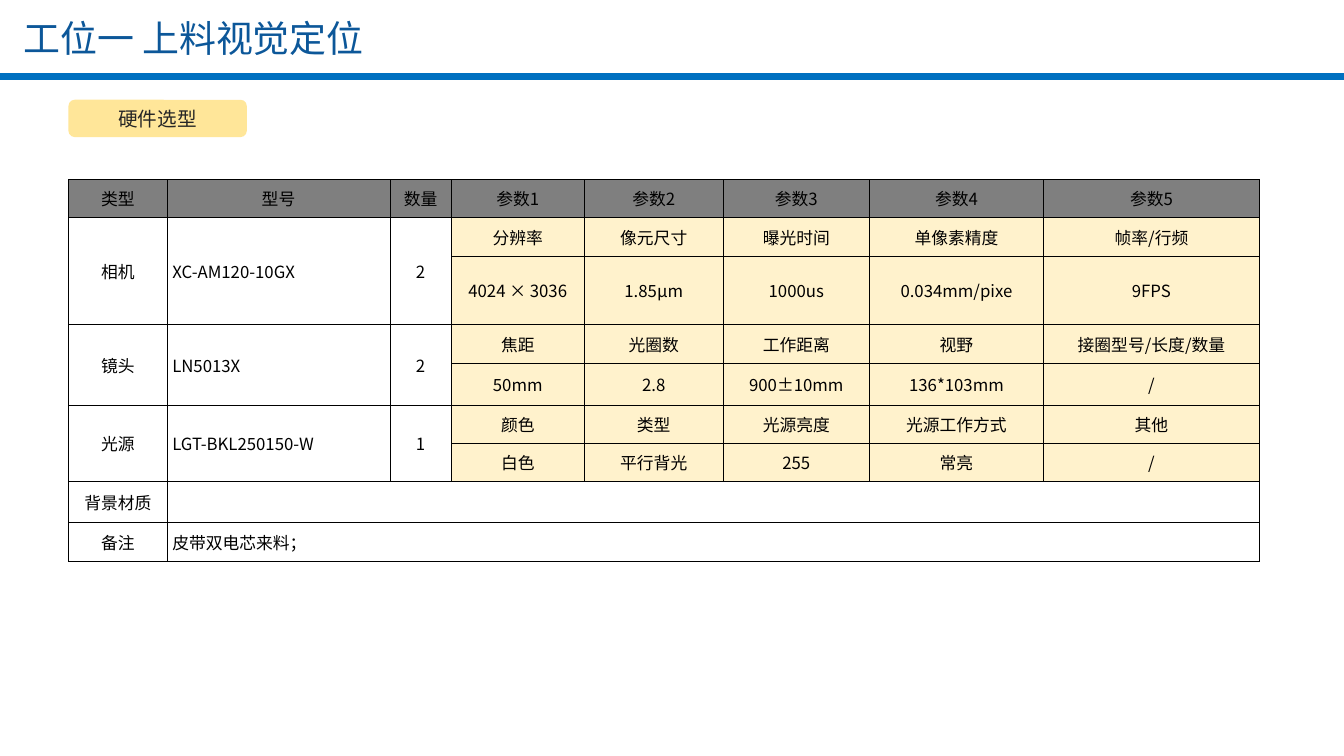
import pptx
import pptx.dml.color
import pptx.enum.shapes
import pptx.enum.text
import pptx.oxml
import pptx.oxml.ns
import pptx.util
from lxml import etree

Inches = pptx.util.Inches
CENTER = pptx.enum.text.PP_ALIGN.CENTER
LEFT = pptx.enum.text.PP_ALIGN.LEFT
MIDDLE = pptx.enum.text.MSO_ANCHOR.MIDDLE

COLORS = {
    "title": "0C5799", "rule": "0070C0", "badge": "FFE699", "badge_text": "262626",
    "header": "7F7F7F", "parameter": "FFF2CC", "plain": "FFFFFF", "ink": "000000",
}
COLUMN_WIDTHS = [0.98, 2.21, 0.61, 1.32, 1.38, 1.45, 1.73, 2.14]
ROW_HEIGHTS = [0.38, 0.38, 0.68, 0.38, 0.42, 0.38, 0.38, 0.4, 0.38]
HARDWARE = [
    ["类型", "型号", "数量", "参数1", "参数2", "参数3", "参数4", "参数5"],
    ["相机", "XC-AM120-10GX", "2", "分辨率", "像元尺寸", "曝光时间", "单像素精度", "帧率/行频"],
    ["", "", "", "4024 × 3036", "1.85μm", "1000us", "0.034mm/pixe", "9FPS"],
    ["镜头", "LN5013X", "2", "焦距", "光圈数", "工作距离", "视野", "接圈型号/长度/数量"],
    ["", "", "", "50mm", "2.8", "900±10mm", "136*103mm", "/"],
    ["光源", "LGT-BKL250150-W", "1", "颜色", "类型", "光源亮度", "光源工作方式", "其他"],
    ["", "", "", "白色", "平行背光", "255", "常亮", "/"],
    ["背景材质", "", "", "", "", "", "", ""],
    ["备注", "皮带双电芯来料；", "", "", "", "", "", ""],
]
DEVICE_ROWS = (1, 3, 5)
NOTE_ROWS = (7, 8)


class SlideBuilder:
    font_name = "Noto Sans CJK SC"

    def __init__(self, page):
        self.page = page

    def color(self, name):
        return pptx.dml.color.RGBColor.from_string(COLORS[name])

    def paint(self, target, name):
        target.fill.solid()
        target.fill.fore_color.rgb = self.color(name)

    def set_text(self, frame, text, size, color, align=CENTER):
        frame.text = text
        para = frame.paragraphs[0]
        para.alignment = align
        font = para.font
        font.size = pptx.util.Pt(size)
        font.bold = False
        font.name = self.font_name
        font.color.rgb = self.color(color)
        east_asian = etree.SubElement(font._element, pptx.oxml.ns.qn("a:ea"))
        east_asian.set("typeface", self.font_name)
        return para

    def title(self, text, left, top, width, height):
        box = self.page.shapes.title
        box.left, box.top, box.width, box.height = map(Inches, (left, top, width, height))
        frame = box.text_frame
        frame.auto_size = pptx.enum.text.MSO_AUTO_SIZE.NONE
        frame.vertical_anchor = MIDDLE
        self.set_text(frame, text, 26.4, "title", LEFT).line_spacing = 0.8

    def rule(self, left, right, top):
        line = self.page.shapes.add_connector(
            pptx.enum.shapes.MSO_CONNECTOR.STRAIGHT,
            Inches(left), Inches(top), Inches(right), Inches(top))
        line.line.color.rgb = self.color("rule")
        line.line.width = pptx.util.Pt(4.75)
        etree.SubElement(line._element.spPr, pptx.oxml.ns.qn("a:effectLst"))

    def badge(self, text, left, top, width, height):
        box = self.page.shapes.add_shape(
            pptx.enum.shapes.MSO_SHAPE.ROUNDED_RECTANGLE,
            *map(Inches, (left, top, width, height)))
        box.shadow.inherit = False
        self.paint(box, "badge")
        box.line.fill.background()
        box.text_frame.vertical_anchor = MIDDLE
        self.set_text(box.text_frame, text, 14, "badge_text")

    def border(self, cell):
        properties = cell._tc.get_or_add_tcPr()
        for side in ("lnL", "lnR", "lnT", "lnB"):
            properties.append(pptx.oxml.parse_xml(
                f'<a:{side} {pptx.oxml.ns.nsdecls("a")} w="{pptx.util.Pt(0.45)}">'
                f'<a:solidFill><a:srgbClr val="{COLORS["ink"]}"/></a:solidFill></a:{side}>'))

    def cell_color(self, row, column):
        if row == 0:
            return "header"
        return "parameter" if column > 2 and row not in NOTE_ROWS else "plain"

    def hardware_table(self, left, top):
        table = self.page.shapes.add_table(
            len(ROW_HEIGHTS), len(COLUMN_WIDTHS), Inches(left), Inches(top),
            Inches(sum(COLUMN_WIDTHS)), Inches(sum(ROW_HEIGHTS))).table
        table.first_row = table.horz_banding = False
        for column, width in zip(table.columns, COLUMN_WIDTHS):
            column.width = Inches(width)
        for row, height in zip(table.rows, ROW_HEIGHTS):
            row.height = Inches(height)
        for row, texts in enumerate(HARDWARE):
            for column, text in enumerate(texts):
                cell = table.cell(row, column)
                self.border(cell)
                self.paint(cell, self.cell_color(row, column))
                cell.vertical_anchor = MIDDLE
                cell.margin_left = cell.margin_right = Inches(0.05)
                if text:
                    align = LEFT if column == 1 and row > 0 else CENTER
                    self.set_text(cell.text_frame, text, 12, "ink", align)
        for row in DEVICE_ROWS:
            for column in range(3):
                table.cell(row, column).merge(table.cell(row + 1, column))
        for row in NOTE_ROWS:
            table.cell(row, 1).merge(table.cell(row, len(COLUMN_WIDTHS) - 1))


def main():
    deck = pptx.Presentation()
    deck.slide_width, deck.slide_height = Inches(13.34), Inches(7.5)
    builder = SlideBuilder(deck.slides.add_slide(deck.slide_layouts[5]))
    builder.rule(-0.02, 13.34, 0.76)
    builder.hardware_table(0.68, 1.78)
    builder.badge("硬件选型", 0.68, 0.99, 1.77, 0.37)
    builder.title("工位一 上料视觉定位", 0.13, 0.13, 12, 0.58)
    deck.save("out.pptx")


if __name__ == "__main__":
    main()
